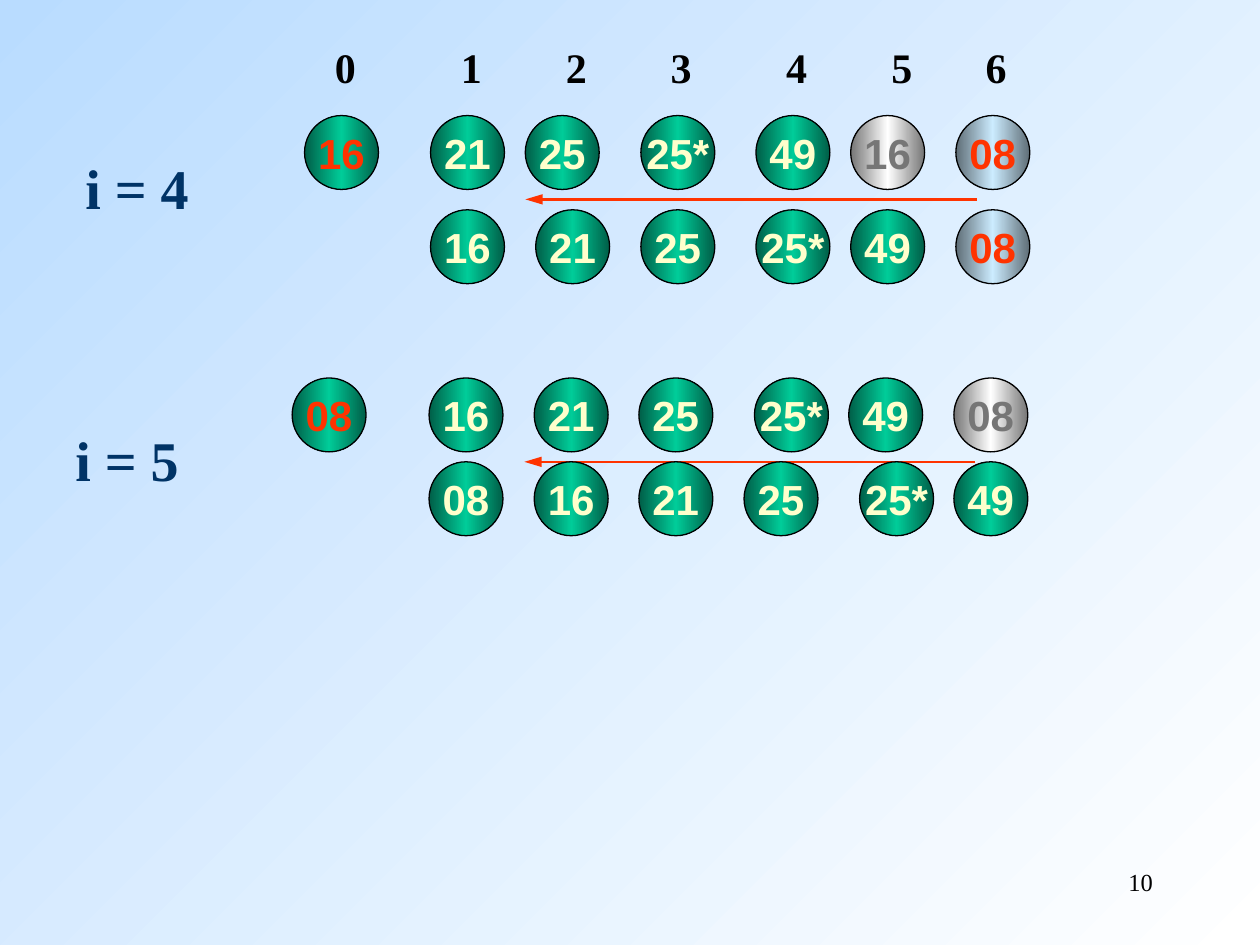
from copy import deepcopy
from dataclasses import dataclass

from lxml import etree
from pptx import Presentation
from pptx import util as u
from pptx.dml.color import RGBColor
from pptx.enum import shapes, text
from pptx.oxml import ns


@dataclass(frozen=True)
class Theme:
    backdrop: tuple = ("B9DCFF", "FFFFFF")
    sorted_ball: tuple = ("005E47", "00CC99", "005E47")
    next_ball: tuple = ("5E6D76", "CCECFF", "5E6D76")
    vacated_ball: tuple = ("767676", "FFFFFF", "767676")
    cream: str = "FFFFCC"
    red: str = "FF3300"
    grey: str = "767676"
    navy: str = "003366"
    black: str = "000000"
    serif: str = "Times New Roman"
    sans: str = "Arial"
    label_size: int = 32
    value_size: int = 24
    number_size: int = 14
    diameter: float = 1.49

    def ball(self, kind):
        return {
            "sorted": (self.sorted_ball, self.cream),
            "key": (self.sorted_ball, self.red),
            "next": (self.next_ball, self.red),
            "vacated": (self.vacated_ball, self.grey),
        }[kind]


class SortSlide:
    def __init__(self, slide, theme):
        self.slide = slide
        self.theme = theme

    def gradient(self, fill, element, colors, angle=0):
        fill.gradient()
        fill.gradient_angle = angle
        stops = element.xpath(".//a:gsLst")[0]
        while len(stops) < len(colors):
            stops.append(deepcopy(stops[-1]))
        for index, (stop, color) in enumerate(zip(fill.gradient_stops, colors)):
            stop.position = index / (len(colors) - 1)
            stop.color.rgb = RGBColor.from_string(color)

    def backdrop(self):
        self.gradient(self.slide.background.fill, self.slide.element,
                      self.theme.backdrop, 315)

    def add_words(self, paragraph, words, size, color, font, bold=True):
        run = paragraph.add_run()
        run.text = words
        run.font.size = u.Pt(size)
        run.font.name = font
        run.font.bold = bold
        run.font.color.rgb = RGBColor.from_string(color)

    def caption(self, words, box, size, color, bold=True,
                align=text.PP_ALIGN.LEFT, tabs=()):
        caption = self.slide.shapes.add_textbox(*map(u.Cm, box))
        caption.text_frame.word_wrap = True
        paragraph = caption.text_frame.paragraphs[0]
        paragraph.alignment = align
        if tabs:
            stops = etree.SubElement(paragraph._p.get_or_add_pPr(),
                                     ns.qn("a:tabLst"))
            for tab in tabs:
                etree.SubElement(stops, ns.qn("a:tab"),
                                 pos=str(u.Cm(tab)), algn="l")
        self.add_words(paragraph, words, size, color, self.theme.serif, bold)

    def ball(self, value, kind, left, top):
        colors, ink = self.theme.ball(kind)
        side = u.Cm(self.theme.diameter)
        ball = self.slide.shapes.add_shape(
            shapes.MSO_SHAPE.OVAL, u.Cm(left), u.Cm(top), side, side)
        ball.shadow.inherit = False
        self.gradient(ball.fill, ball.element, colors)
        ball.line.color.rgb = RGBColor.from_string(self.theme.black)
        ball.line.width = u.Pt(0.75)
        frame = ball.text_frame
        frame.word_wrap = False
        frame.vertical_anchor = text.MSO_ANCHOR.MIDDLE
        paragraph = frame.paragraphs[0]
        paragraph.alignment = text.PP_ALIGN.CENTER
        self.add_words(paragraph, value, self.theme.value_size, ink,
                       self.theme.sans)

    def row(self, top, lefts, values, kinds):
        for left, value in zip(lefts, values.split()):
            self.ball(value, kinds.get(left, "sorted"), left, top)

    def arrow(self, start, end, top):
        arrow = self.slide.shapes.add_connector(
            shapes.MSO_CONNECTOR.STRAIGHT,
            u.Cm(start), u.Cm(top), u.Cm(end), u.Cm(top))
        arrow.line.color.rgb = RGBColor.from_string(self.theme.red)
        arrow.line.width = u.Pt(1.5)
        outline = arrow.element.spPr.find(ns.qn("a:ln"))
        etree.SubElement(outline, ns.qn("a:tailEnd"),
                         type="triangle", w="med", len="lg")
        etree.SubElement(arrow.element.spPr, ns.qn("a:effectLst"))


def main():
    theme = Theme()
    deck = Presentation()
    deck.slide_width, deck.slide_height = u.Cm(25.4), u.Cm(19.05)
    page = SortSlide(deck.slides.add_slide(deck.slide_layouts[6]), theme)
    page.backdrop()

    page.caption("10", (18.21, 17.35, 5.28, 1.27), theme.number_size,
                 theme.black, bold=False, align=text.PP_ALIGN.RIGHT)
    page.caption("i = 4", (1.47, 2.97, 3, 1.63), theme.label_size, theme.navy)
    page.caption("i = 5", (1.27, 8.46, 3, 1.63), theme.label_size, theme.navy)
    page.caption("\t".join(map(str, range(7))), (6.5, 0.71, 14.25, 1.27),
                 theme.value_size, theme.black,
                 tabs=(2.54, 4.66, 6.77, 9.1, 11.22, 13.12))

    page.arrow(19.69, 10.59, 4.02)
    page.row(2.33, (6.14, 8.68, 10.59, 12.92, 15.24, 17.15, 19.27),
             "16 21 25 25* 49 16 08",
             {6.14: "key", 17.15: "vacated", 19.27: "next"})
    page.row(4.23, (8.68, 10.8, 12.92, 15.24, 17.15, 19.27),
             "16 21 25 25* 49 08", {19.27: "next"})

    page.arrow(19.66, 10.57, 9.31)
    page.row(7.62, (5.89, 8.65, 10.77, 12.88, 15.21, 17.11, 19.23),
             "08 16 21 25 25* 49 08", {5.89: "key", 19.23: "vacated"})
    page.row(9.31, (8.65, 10.77, 12.88, 15, 17.33, 19.23),
             "08 16 21 25 25* 49", {})

    deck.save("out.pptx")


if __name__ == "__main__":
    main()
